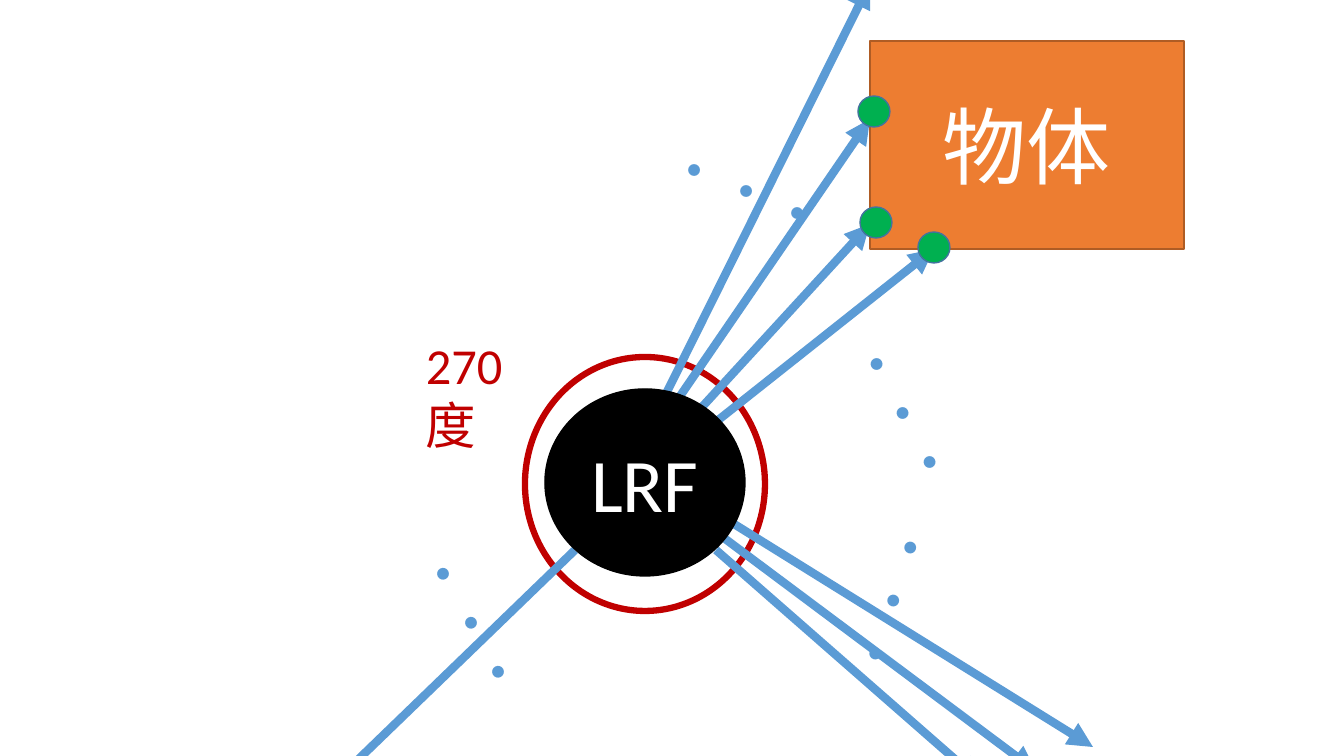
from lxml.etree import SubElement
from pptx import Presentation
from pptx.dml.color import RGBColor
from pptx.enum.shapes import MSO_CONNECTOR, MSO_SHAPE
from pptx.enum.text import MSO_ANCHOR, MSO_AUTO_SIZE, PP_ALIGN
from pptx.oxml.ns import qn
from pptx.util import Pt

EMU_PER_PIXEL = 914400 / 100.8
FONT = "Calibri"
COLORS = {
    "ray": "5B9BD5", "ring": "C00000", "object": "ED7D31", "object_edge": "AF5C24",
    "hit": "00B050", "hit_edge": "43739E", "sensor": "000000", "white": "FFFFFF",
}
BACK_RAYS = [
    (716, 550, 981, 782), (575, 550, 308, 808), (724, 538, 1036, 771),
    (734, 524, 1093, 747), (712, 425, 934, 249), (691, 419, 870, 224),
]
FRONT_RAYS = [(674, 405, 870, 119), (662, 402, 870, -17)]
HIT_POINTS = [(858, 96), (860, 207), (918, 232)]
ELLIPSES_OF_DOTS = [(856, 507, 18.2), (830, 329, 331.7), (656, 134, 292.5), (397, 539, 330.7)]


def emu(*pixels):
    """Turn pixel lengths into EMU."""
    return [round(pixel * EMU_PER_PIXEL) for pixel in pixels]


def color(name):
    """Look up a named colour."""
    return RGBColor.from_string(COLORS[name])


def write(shape, text, size, color_name):
    """Put one formatted paragraph in a shape and return it."""
    shape.text_frame.text = text
    paragraph = shape.text_frame.paragraphs[0]
    font = paragraph.runs[0].font
    font.name, font.size = FONT, Pt(size)
    font.color.rgb = color(color_name)
    return paragraph


def add_figure(slide, kind, box, fill, edge, width=1.0, text=None, size=None):
    """Add a preset shape, with centred white text if given."""
    shape = slide.shapes.add_shape(kind, *emu(*box))
    shape.shadow.inherit = False
    if fill:
        shape.fill.solid()
        shape.fill.fore_color.rgb = color(fill)
    else:
        shape.fill.background()
    shape.line.color.rgb = color(edge)
    shape.line.width = Pt(width)
    if text:
        write(shape, text, size, "white").alignment = PP_ALIGN.CENTER
        shape.text_frame.vertical_anchor = MSO_ANCHOR.MIDDLE


def add_ray(slide, ends):
    """Add a laser ray with an arrowhead at its far end."""
    ray = slide.shapes.add_connector(MSO_CONNECTOR.STRAIGHT, *emu(*ends))
    ray.line.color.rgb = color("ray")
    ray.line.width = Pt(6)
    SubElement(ray.line._get_or_add_ln(), qn("a:tailEnd"), type="triangle")
    SubElement(ray._element.spPr, qn("a:effectLst"))


def add_label(slide, box, text, size, color_name, wrap):
    """Add a text box that grows with its text."""
    label = slide.shapes.add_textbox(*emu(*box))
    write(label, text, size, color_name)
    label.text_frame.word_wrap = wrap
    label.text_frame.auto_size = MSO_AUTO_SIZE.SHAPE_TO_FIT_TEXT
    return label


def add_ellipsis(slide, left, top, angle):
    """Add three dots in vertical text, turned by an angle."""
    dots = add_label(slide, (left, top, 89, 95), "・・・", 40, "ray", False)
    dots.text_frame._txBody.bodyPr.set("vert", "eaVert")
    dots.rotation = angle


def main():
    """Build the slide of the laser range finder's scan."""
    presentation = Presentation()
    presentation.slide_width, presentation.slide_height = emu(1344, 756)
    slide = presentation.slides.add_slide(presentation.slide_layouts[6])

    add_figure(slide, MSO_SHAPE.OVAL, (525, 357, 240, 254), None, "ring", 4.5)
    add_label(slide, (416, 329, 140, 72), "270度", 36, "ring", True)
    for ends in BACK_RAYS:
        add_ray(slide, ends)
    for dots in ELLIPSES_OF_DOTS:
        add_ellipsis(slide, *dots)
    add_figure(slide, MSO_SHAPE.RECTANGLE, (870, 41, 314, 208), "object", "object_edge",
               text="物体", size=60)
    for ends in FRONT_RAYS:
        add_ray(slide, ends)
    for left, top in HIT_POINTS:
        add_figure(slide, MSO_SHAPE.OVAL, (left, top, 32, 31), "hit", "hit_edge")
    add_figure(slide, MSO_SHAPE.OVAL, (545, 389, 200, 187), "sensor", "sensor",
               text="LRF", size=54)
    presentation.save("out.pptx")


main()
